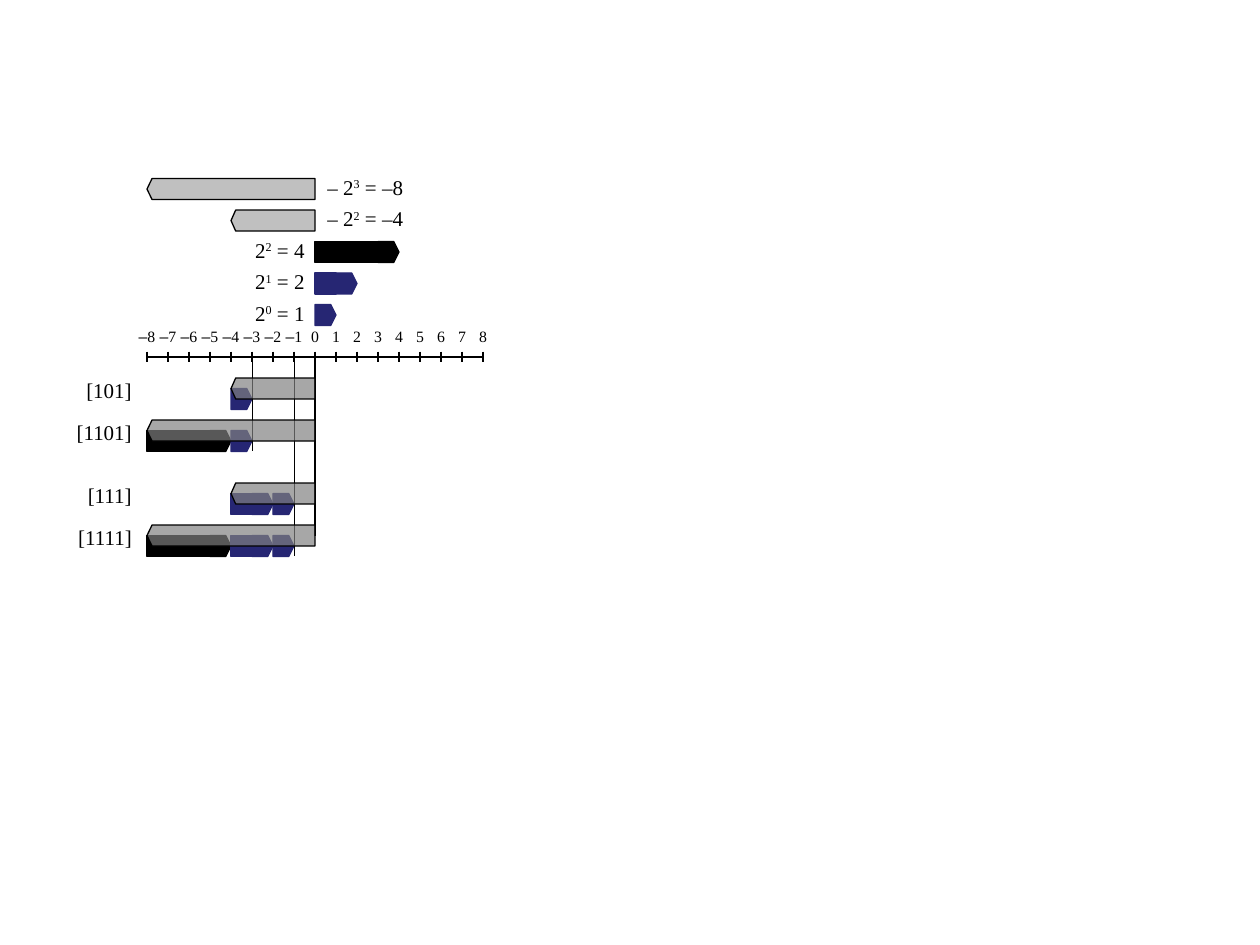
"""Draw two's-complement bit weights as arrow bars on a number line."""
from lxml import etree
from pptx import Presentation
from pptx import util as u
from pptx.dml import color
from pptx.enum import shapes, text
from pptx.oxml import ns

COLORS = {"ink": "000000", "navy": "262673", "silver": "C0C0C0", "gray": "808080",
          "paper": "FFFFFF"}
SERIF, SANS = "Times New Roman", "Arial"
UNIT = 12
ZERO_X = 180
AXIS_Y = 204
REACH = 8

NEGATIVE_POWERS = [(102, 8, "3"), (120, 4, "2")]
POSITIVE_POWERS = [(138, 4, "2", "ink"), (156, 2, "1", "navy"), (174, 1, "0", "navy")]
SUMS = [
    (216, "[101]", 4, [1]),
    (240, "[1101]", 8, [4, 1]),
    (276, "[111]", 4, [2, 1]),
    (300, "[1111]", 8, [4, 2, 1]),
]


def rgb(name):
    """Return the palette colour with this name."""
    return color.RGBColor.from_string(COLORS[name])


def axis_x(value):
    """Return the horizontal position of a value on the number line."""
    return ZERO_X + value * UNIT


def add_block(s, kind, start, length, y, fill, line=None, adj=None):
    """Add one filled shape that covers a span of the number line."""
    sp = s.shapes.add_shape(kind, u.Pt(axis_x(start)), u.Pt(y),
                            u.Pt(length * UNIT), u.Pt(UNIT))
    sp.shadow.inherit = False
    sp.fill.solid()
    sp.fill.fore_color.rgb = rgb(fill)
    if line:
        sp.line.color.rgb = rgb(line)
        sp.line.width = u.Pt(0.75)
    else:
        sp.line.fill.background()
    if adj is not None:
        sp.adjustments[0] = adj
    return sp


def add_positive_bar(s, start, length, y, fill):
    """Add a right-pointing bar made of a one-unit tip and a body."""
    add_block(s, shapes.MSO_SHAPE.PENTAGON, start + length - 1, 1, y, fill, fill, 0.25)
    if length > 1:
        add_block(s, shapes.MSO_SHAPE.RECTANGLE, start, length - 1, y, fill, fill)


def add_negative_bar(s, length, y, fill, alpha=None):
    """Add a left-pointing bar that ends at zero."""
    adj = 0.24 if length == REACH else 0.22
    sp = add_block(s, shapes.MSO_SHAPE.PENTAGON, -length, length, y, fill, "ink", adj)
    sp.rotation = 180
    if alpha is not None:
        clr = sp.fill._xPr.find(".//" + ns.qn("a:srgbClr"))
        etree.SubElement(clr, ns.qn("a:alpha")).set("val", str(alpha * 1000))


def add_line(s, x1, y1, x2, y2, width=0.75):
    """Add a straight black line."""
    c = s.shapes.add_connector(shapes.MSO_CONNECTOR.STRAIGHT,
                               u.Pt(x1), u.Pt(y1), u.Pt(x2), u.Pt(y2))
    c.line.color.rgb = rgb("ink")
    c.line.width = u.Pt(width)
    etree.SubElement(c._element.spPr, ns.qn("a:effectLst"))


def add_label(s, x, y, w, h, runs, size, align):
    """Add a one-line label from (text, font, baseline) runs."""
    tf = s.shapes.add_textbox(u.Pt(x), u.Pt(y), u.Pt(w), u.Pt(h)).text_frame
    tf.word_wrap = False
    p = tf.paragraphs[0]
    p.alignment = align
    for words, font, baseline in runs:
        r = p.add_run()
        r.text = words
        r.font.name = font
        r.font.size = u.Pt(size)
        r.font.color.rgb = rgb("ink")
        if baseline:
            r._r.get_or_add_rPr().set("baseline", str(baseline * 1000))
    return tf


def add_equation(s, x, y, w, base, exponent, result, align):
    """Add a power-of-two equation with a raised exponent."""
    runs = [(base, SERIF, 0), (exponent, SERIF, 30), (f" = {result}", SERIF, 0)]
    tf = add_label(s, x, y, w, 21.6, runs, 12, align)
    tf.auto_size = text.MSO_AUTO_SIZE.SHAPE_TO_FIT_TEXT


def add_axis(s):
    """Add the number line with its ticks and numbers."""
    for value in range(-REACH, REACH + 1):
        x = axis_x(value)
        if value:
            add_block(s, shapes.MSO_SHAPE.RECTANGLE, value - 0.5, 1,
                      AXIS_Y - UNIT / 2, "paper")
        add_line(s, x, AXIS_Y - 3, x, AXIS_Y + 3)
        sign = [("–", SANS, 0)] if value < 0 else []
        tf = add_label(s, x - UNIT / 2, AXIS_Y - 18, UNIT, UNIT,
                       sign + [(str(abs(value)), SERIF, 0)], 9, text.PP_ALIGN.CENTER)
        tf.margin_left = tf.margin_right = tf.margin_top = tf.margin_bottom = 0
        tf.vertical_anchor = text.MSO_ANCHOR.MIDDLE
    add_line(s, axis_x(-REACH), AXIS_Y, axis_x(REACH), AXIS_Y)


def add_powers(s):
    """Add the bars and equations above the number line."""
    for y, length, exponent in NEGATIVE_POWERS:
        add_negative_bar(s, length, y, "silver")
        add_equation(s, ZERO_X, y - 6, 58.3, "– 2", exponent, f"–{length}",
                     text.PP_ALIGN.LEFT)
    for y, length, exponent, fill in POSITIVE_POWERS:
        add_positive_bar(s, 0, length, y, fill)
        add_equation(s, 138, y - 6, 43.2, "2", exponent, length, text.PP_ALIGN.RIGHT)


def add_sums(s):
    """Add the bit patterns, their summed bars and the guide lines."""
    for y, bits, sign_weight, weights in SUMS:
        w = 40.3 if sign_weight == 4 else 46.8
        tf = add_label(s, 82.4 - w, y - 3.6, w, 21.6, [(bits, SERIF, 0)], 12,
                       text.PP_ALIGN.RIGHT)
        tf.auto_size = text.MSO_AUTO_SIZE.SHAPE_TO_FIT_TEXT
        start = -sign_weight
        for weight in weights:
            add_positive_bar(s, start, weight, y + 6, "ink" if weight == 4 else "navy")
            start += weight
    for value, bottom, width in [(-3, 258, 0.5), (-1, 318, 0.5), (0, 306, 1)]:
        add_line(s, axis_x(value), AXIS_Y, axis_x(value), bottom, width)
    for y, _, sign_weight, _ in SUMS:
        add_negative_bar(s, sign_weight, y, "gray", 69)


def main():
    """Build the slide and save it."""
    prs = Presentation()
    prs.slide_width, prs.slide_height = u.Pt(720), u.Pt(540)
    s = prs.slides.add_slide(prs.slide_layouts[6])
    add_powers(s)
    add_axis(s)
    add_sums(s)
    prs.save("out.pptx")


if __name__ == "__main__":
    main()
